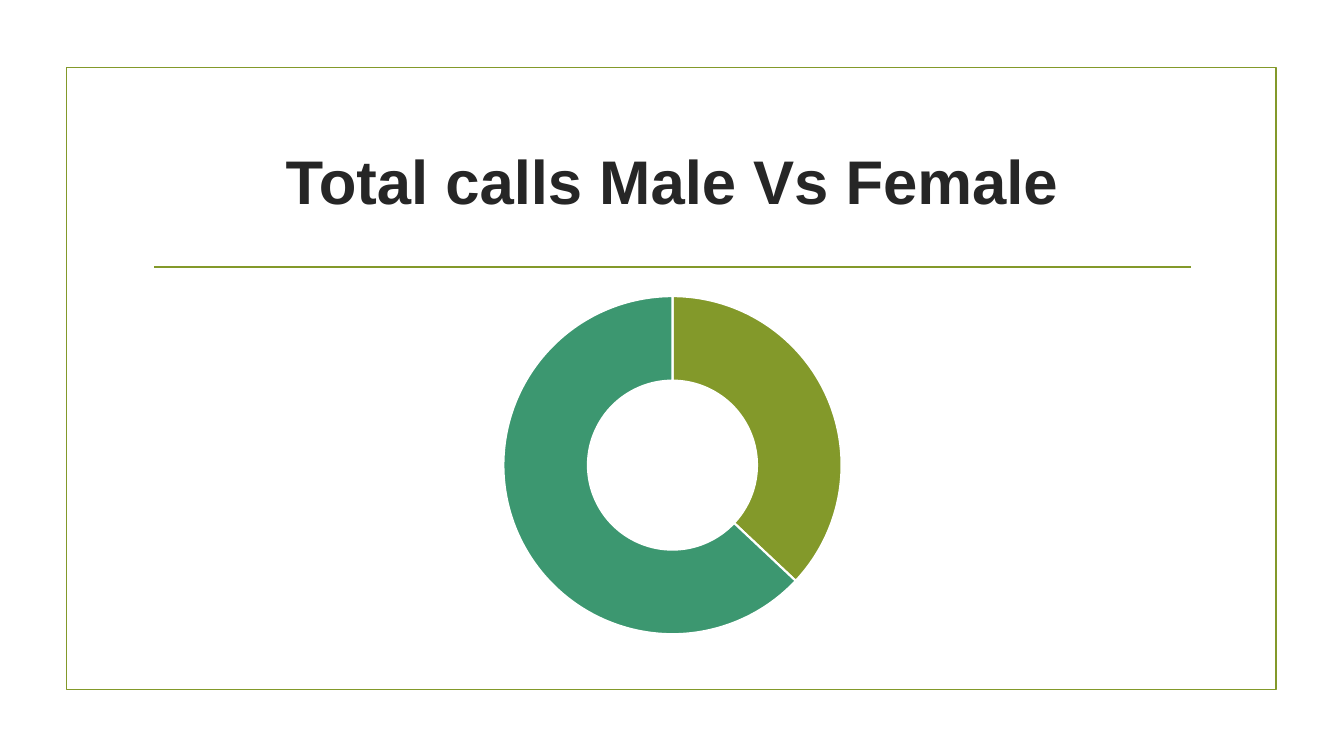
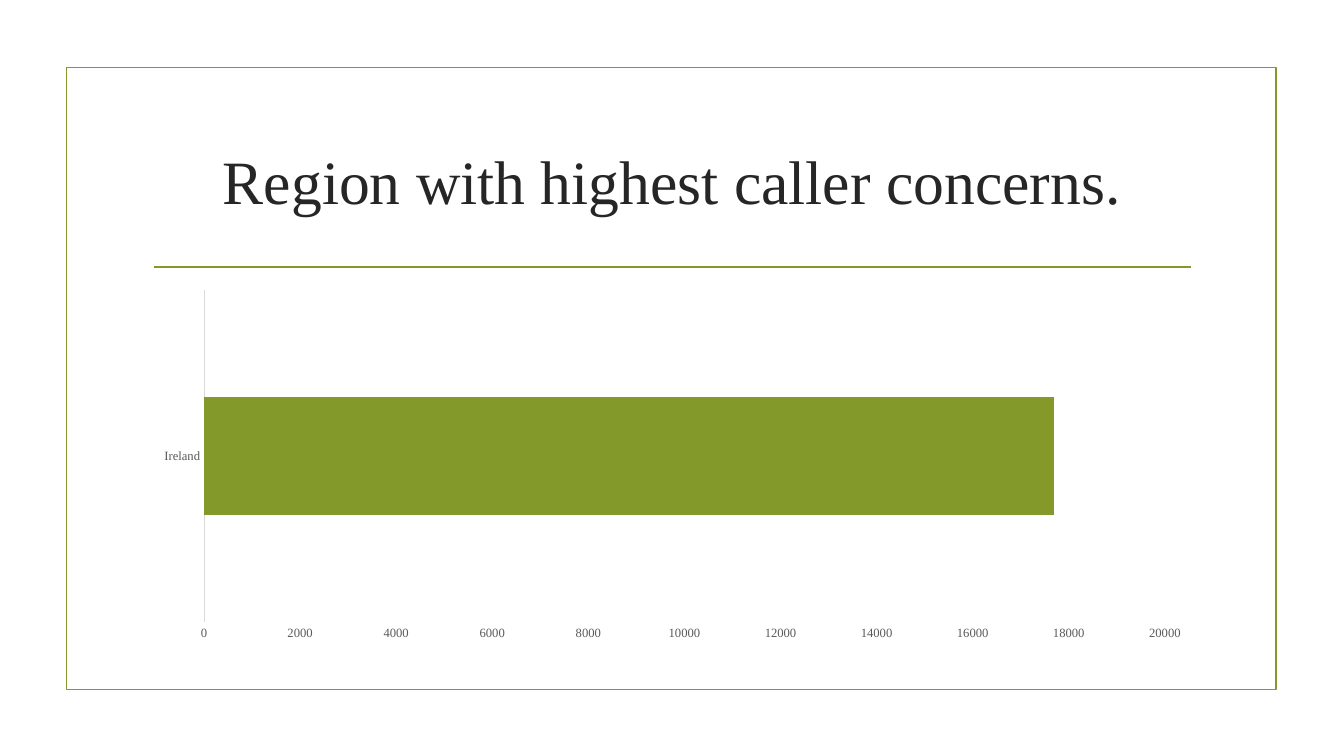
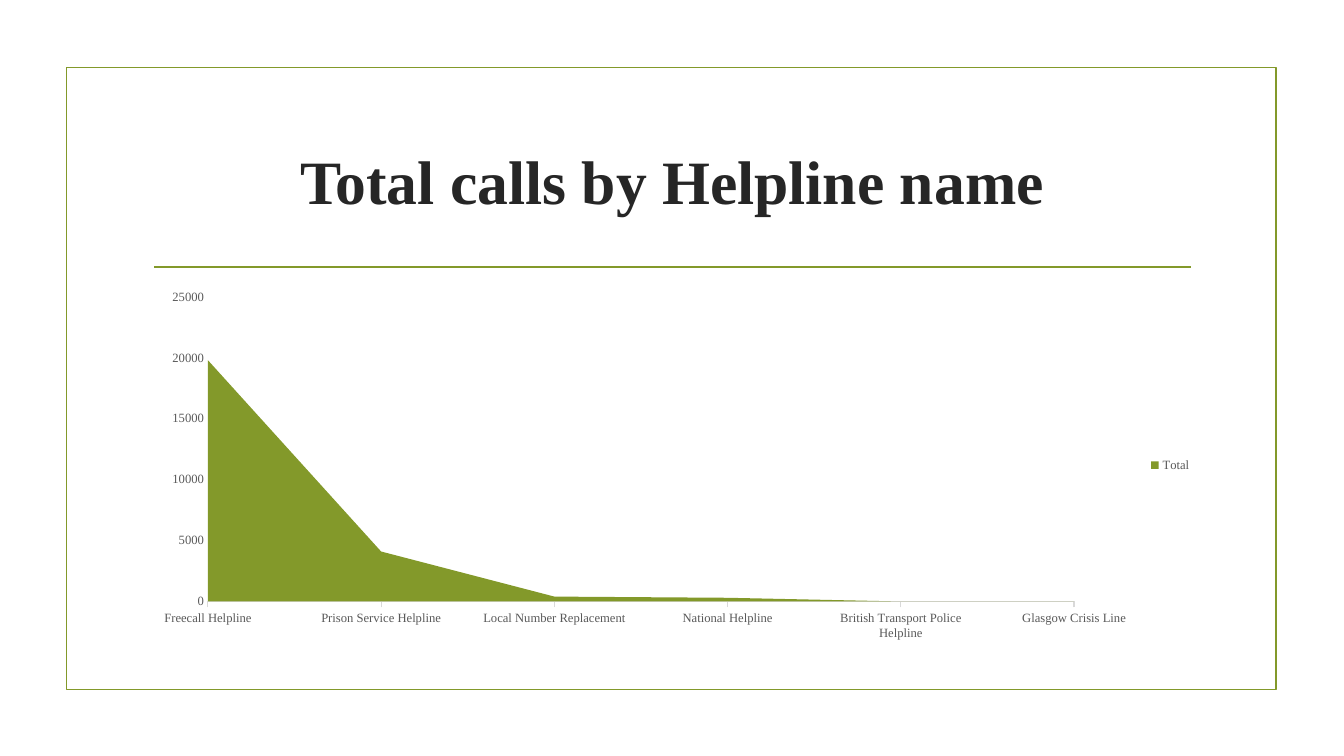
from dataclasses import dataclass

from lxml import etree
from pptx import Presentation
from pptx import util as u
from pptx.chart.data import CategoryChartData
from pptx.dml.color import RGBColor
from pptx.enum import chart as ch
from pptx.enum import shapes, text
from pptx.oxml.ns import qn


@dataclass(frozen=True)
class Theme:
    """Colours, fonts and sizes shared by the slides."""
    accent: str = "83992A"
    second: str = "3C9770"
    title: str = "262626"
    label: str = "595959"
    axis: str = "D9D9D9"
    paper: str = "FFFFFF"
    ink: str = "000000"
    serif: str = "Times New Roman"
    sans: str = "Arial"
    title_pt: float = 44
    chart_pt: float = 10
    label_pt: float = 9
    rule_pt: float = 1.25
    axis_pt: float = 0.75
    slice_pt: float = 1.5


T = Theme()
FRAME = (0.66, 0.67, 12, 6.17)
TITLE = (1.42, 1.07, 10.5, 1.43)
RULE = (1.53, 2.65, 10.28, 0)
BODY = (1.42, 2.8, 10.5, 3.63)


def inches(box):
    """Turn a box given in inches into lengths."""
    return [u.Inches(v) for v in box]


def set_font(font, color, **values):
    """Apply a colour and a dict of format values to a font."""
    font.color.rgb = RGBColor.from_string(color)
    for name, value in values.items():
        setattr(font, name, value)


def set_line(line, color, width):
    """Give a line its colour and width in points."""
    line.color.rgb = RGBColor.from_string(color)
    line.width = u.Pt(width)


def set_fill(fill, color):
    """Give a fill one solid colour."""
    fill.solid()
    fill.fore_color.rgb = RGBColor.from_string(color)


def add_frame(s, box, rule):
    """Draw the border of the slide and the rule under its title."""
    sp = s.shapes.add_shape(shapes.MSO_SHAPE.RECTANGLE, *inches(box))
    sp.shadow.inherit = False
    sp.fill.background()
    set_line(sp.line, T.accent, T.rule_pt)
    x, y, w, h = inches(rule)
    cx = s.shapes.add_connector(shapes.MSO_CONNECTOR.STRAIGHT, x, y, x + w, y + h)
    set_line(cx.line, T.accent, T.rule_pt)
    etree.SubElement(cx._element.spPr, qn("a:effectLst"))


def add_title(s, box, words, name, bold):
    """Place the centred title."""
    tf = s.shapes.add_textbox(*inches(box)).text_frame
    tf.word_wrap = True
    tf.vertical_anchor = text.MSO_ANCHOR.MIDDLE
    p = tf.paragraphs[0]
    p.alignment = text.PP_ALIGN.CENTER
    r = p.add_run()
    r.text = words
    set_font(r.font, T.title, name=name, size=u.Pt(T.title_pt), bold=bold)


def add_slide(prs, words, name=T.serif, bold=False):
    """Add a blank slide with the shared frame and a title."""
    s = prs.slides.add_slide(prs.slide_layouts[6])
    set_fill(s.background.fill, T.paper)
    add_frame(s, FRAME, RULE)
    add_title(s, TITLE, words, name, bold)
    return s


def add_chart(s, box, kind, series, values):
    """Add a plain chart of one series from a dict of values."""
    data = CategoryChartData()
    data.categories = list(values)
    data.add_series(series, list(values.values()))
    chart = s.shapes.add_chart(kind, *inches(box), data).chart
    chart.has_title = False
    chart.has_legend = False
    set_font(chart.font, T.ink, name=T.serif, size=u.Pt(T.chart_pt))
    return chart


def style_label(font):
    """Style the small text of axes and legends."""
    set_font(font, T.label, name=T.serif, size=u.Pt(T.label_pt))


def style_plot(chart, tick):
    """Style the axes and the single series of a chart."""
    cat, val = chart.category_axis, chart.value_axis
    for axis, mark in ((cat, tick), (val, ch.XL_TICK_MARK.NONE)):
        axis.has_major_gridlines = False
        axis.major_tick_mark = mark
        axis.minor_tick_mark = ch.XL_TICK_MARK.NONE
        style_label(axis.tick_labels.font)
    set_line(cat.format.line, T.axis, T.axis_pt)
    val.format.line.fill.background()
    plot = chart.plots[0]
    plot.vary_by_categories = False
    set_fill(plot.series[0].format.fill, T.accent)


def add_ring(s, box, values):
    """Place the doughnut chart."""
    chart = add_chart(s, box, ch.XL_CHART_TYPE.DOUGHNUT, "Series 1", values)
    plot = chart.plots[0]
    plot.vary_by_categories = True
    for i, color in enumerate((T.accent, T.second)):
        fmt = plot.series[0].points[i].format
        set_fill(fmt.fill, color)
        set_line(fmt.line, T.paper, T.slice_pt)
    for hole in chart._chartSpace.iter(qn("c:holeSize")):
        hole.set("val", "75")


def add_bar(s, box, values):
    """Place the horizontal bar chart."""
    chart = add_chart(s, box, ch.XL_CHART_TYPE.BAR_CLUSTERED, "Series 1", values)
    style_plot(chart, ch.XL_TICK_MARK.NONE)
    chart.plots[0].gap_width = 182


def add_area(s, box, values):
    """Place the area chart with its legend on the right."""
    chart = add_chart(s, box, ch.XL_CHART_TYPE.AREA, "Total", values)
    style_plot(chart, ch.XL_TICK_MARK.OUTSIDE)
    chart.has_legend = True
    chart.legend.position = ch.XL_LEGEND_POSITION.RIGHT
    chart.legend.include_in_layout = False
    style_label(chart.legend.font)


def main():
    """Build and save the presentation."""
    prs = Presentation()
    prs.slide_width, prs.slide_height = inches((13.33, 7.5))

    s = add_slide(prs, "Total calls Male Vs Female", name=T.sans, bold=True)
    add_ring(s, BODY, {"1": 37, "2": 63})

    s = add_slide(prs, "Region with highest caller concerns.")
    add_bar(s, BODY, {"Ireland": 17700})

    s = add_slide(prs, "Total calls by Helpline name", bold=True)
    add_area(s, BODY, {
        "Freecall Helpline": 19800,
        "Prison Service Helpline": 4100,
        "Local Number Replacement": 400,
        "National Helpline": 300,
        "British Transport Police Helpline": 0,
        "Glasgow Crisis Line": 0,
    })

    prs.save("out.pptx")


if __name__ == "__main__":
    main()
